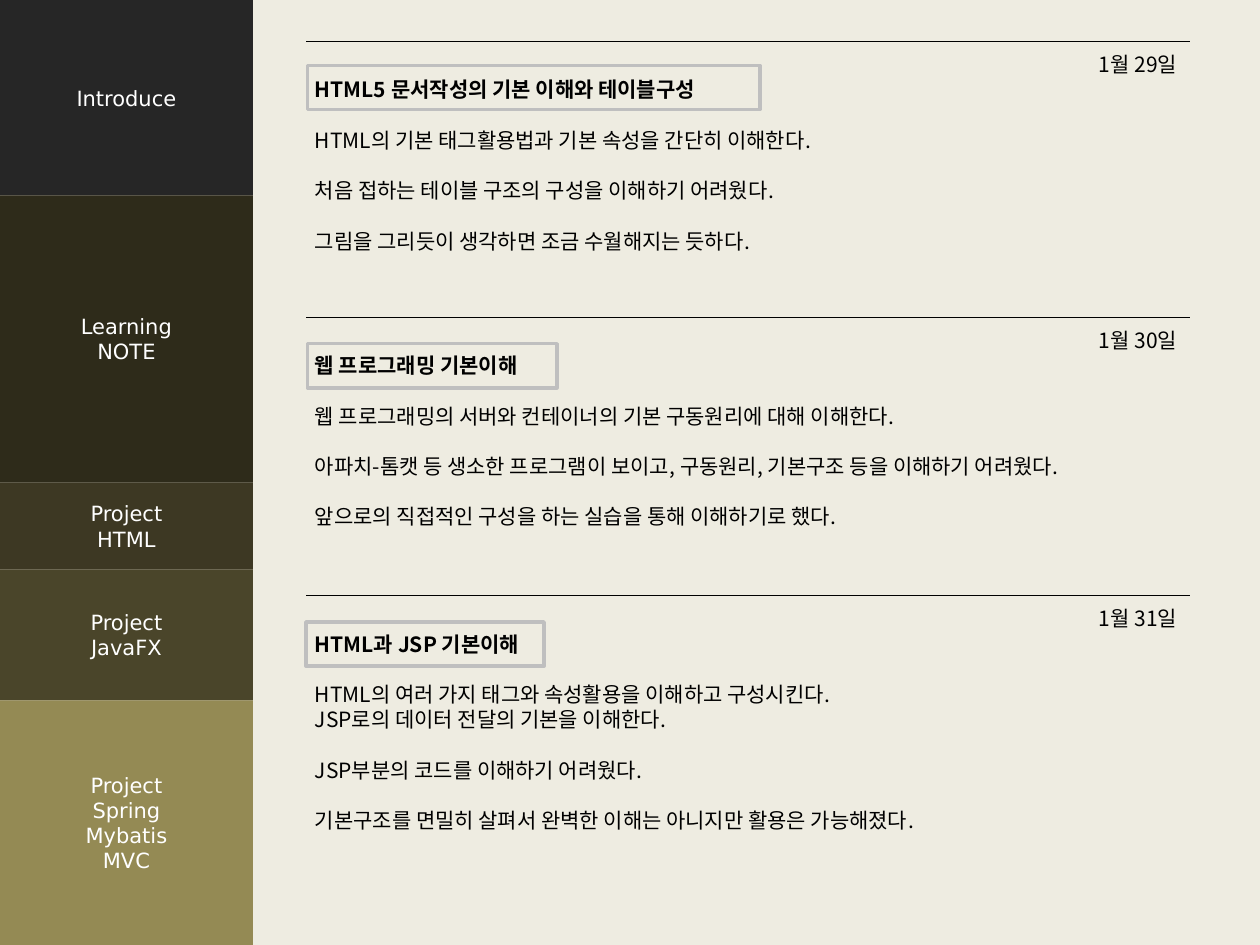
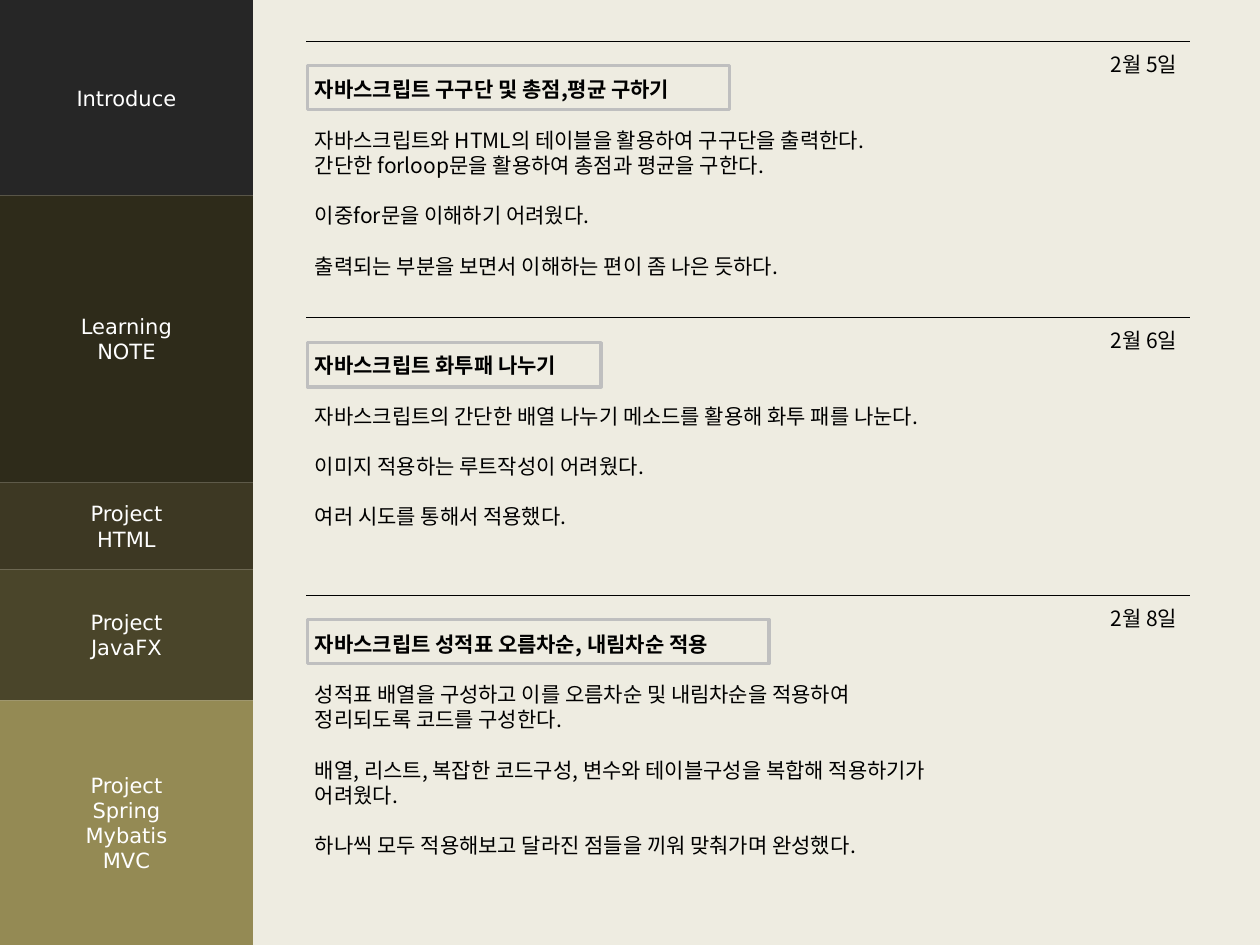
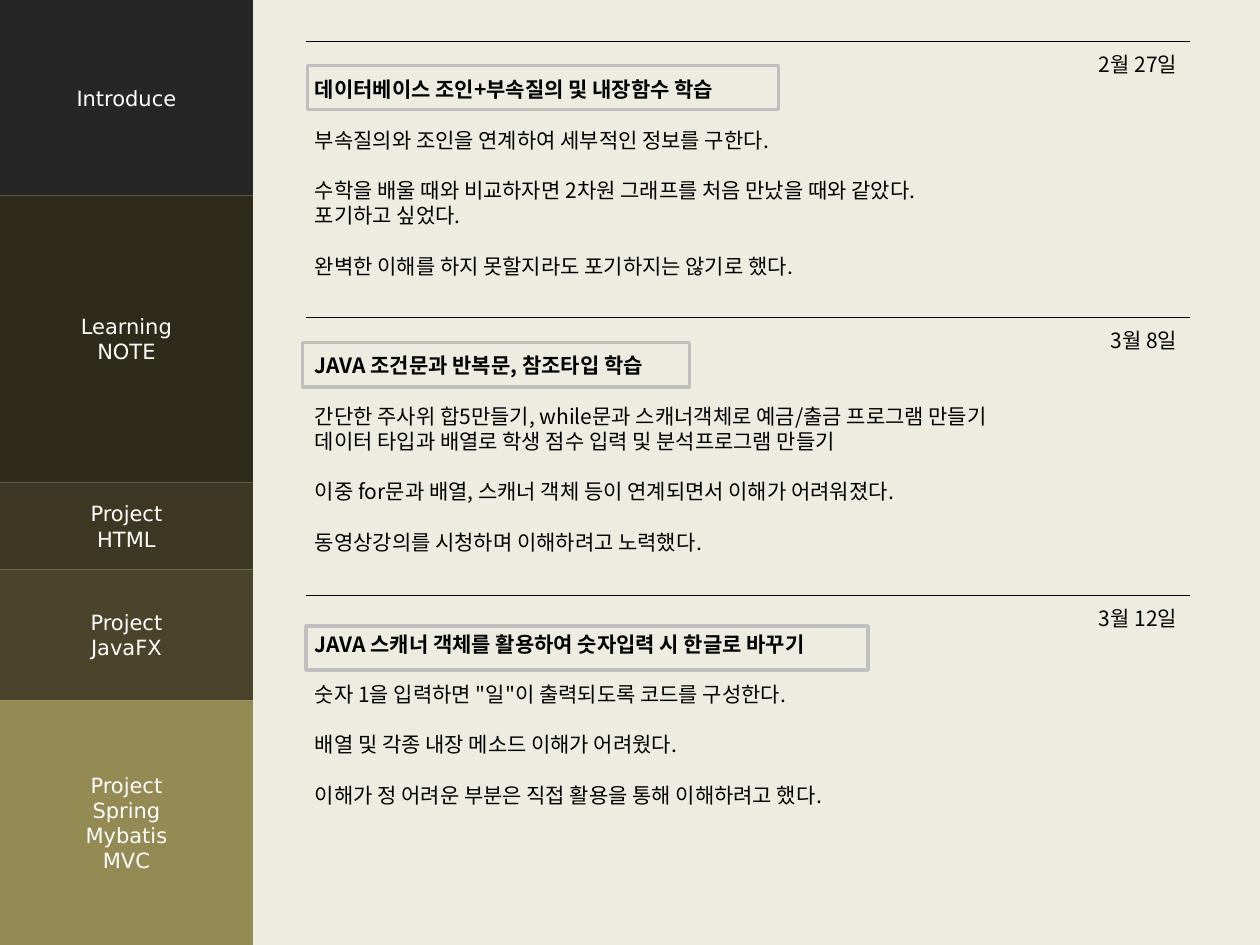
from dataclasses import dataclass
from itertools import pairwise

from lxml.etree import SubElement
from pptx import Presentation
from pptx.dml.color import RGBColor as RGB
from pptx.enum.shapes import MSO_CONNECTOR as CONNECTOR, MSO_SHAPE as SHAPE
from pptx.enum.text import MSO_ANCHOR as ANCHOR, PP_ALIGN as ALIGN
from pptx.oxml.ns import qn
from pptx.util import Cm, Pt

# Shared style
COLORS = {
    "paper": "EEECE1",
    "ink": "000000",
    "frame": "BFBFBF",
    "menu_text": "FFFFFF",
    "introduce": "262626",
    "learning": "2E2B1A",
    "html": "3D3823",
    "javafx": "4A452A",
    "spring": "948A54",
}
NOTE_FONT = "Noto Sans CJK KR"
MENU_FONT = "DejaVu Sans"
TEXT_SIZE = Pt(12)
LINE_PITCH = Pt(14.4)

# Shared geometry in centimetres
WIDTH, HEIGHT = 25.4, 19.05
MENU_WIDTH = 5.1
MENU_EDGES = (0, 3.94, 9.73, 11.48, 14.12, HEIGHT)
RULE_LEFT, RULE_RIGHT = 6.17, 23.98
RULE_TOPS = (0.84, 6.4, 12.01)
NOTE_LEFT, NOTE_GAP = 6.1, 0.08
LINE_HEIGHT, NOTE_PADDING = 0.51, 0.3
FRAME_HEIGHT = 0.89


@dataclass(frozen=True)
class MenuItem:
    label: str
    color: str


@dataclass(frozen=True)
class Entry:
    date: str
    heading: str
    notes: tuple[str, ...]  # one string per block, lines split by \n
    frame_width: float
    frame_drop: float = 0.48  # distance below the rule
    frame_left: float = 6.2


MENU = (
    MenuItem("Introduce", "introduce"),
    MenuItem("Learning\nNOTE", "learning"),
    MenuItem("Project\nHTML", "html"),
    MenuItem("Project\nJavaFX", "javafx"),
    MenuItem("Project\nSpring\nMybatis\nMVC", "spring"),
)

DIARY = (
    (
        Entry("1월 29일", "HTML5 문서작성의 기본 이해와 테이블구성", (
            "HTML의 기본 태그활용법과 기본 속성을 간단히 이해한다.",
            "처음 접하는 테이블 구조의 구성을 이해하기 어려웠다.",
            "그림을 그리듯이 생각하면 조금 수월해지는 듯하다.",
        ), 9.12),
        Entry("1월 30일", "웹 프로그래밍 기본이해", (
            "웹 프로그래밍의 서버와 컨테이너의 기본 구동원리에 대해 이해한다.",
            "아파치-톰캣 등 생소한 프로그램이 보이고, 구동원리, 기본구조 등을 이해하기 어려웠다.",
            "앞으로의 직접적인 구성을 하는 실습을 통해 이해하기로 했다.",
        ), 5.03, 0.53),
        Entry("1월 31일", "HTML과 JSP 기본이해", (
            "HTML의 여러 가지 태그와 속성활용을 이해하고 구성시킨다.\n"
            "JSP로의 데이터 전달의 기본을 이해한다.",
            "JSP부분의 코드를 이해하기 어려웠다.",
            "기본구조를 면밀히 살펴서 완벽한 이해는 아니지만 활용은 가능해졌다.",
        ), 4.8, 0.53, 6.17),
    ),
    (
        Entry("2월 5일", "자바스크립트 구구단 및 총점,평균 구하기", (
            "자바스크립트와 HTML의 테이블을 활용하여 구구단을 출력한다.\n"
            "간단한 forloop문을 활용하여 총점과 평균을 구한다.",
            "이중for문을 이해하기 어려웠다.",
            "출력되는 부분을 보면서 이해하는 편이 좀 나은 듯하다.",
        ), 8.51),
        Entry("2월 6일", "자바스크립트 화투패 나누기", (
            "자바스크립트의 간단한 배열 나누기 메소드를 활용해 화투 패를 나눈다.",
            "이미지 적용하는 루트작성이 어려웠다.",
            "여러 시도를 통해서 적용했다.",
        ), 5.92, 0.51),
        Entry("2월 8일", "자바스크립트 성적표 오름차순, 내림차순 적용", (
            "성적표 배열을 구성하고 이를 오름차순 및 내림차순을 적용하여\n"
            "정리되도록 코드를 구성한다.",
            "배열, 리스트, 복잡한 코드구성, 변수와 테이블구성을 복합해 적용하기가\n"
            "어려웠다.",
            "하나씩 모두 적용해보고 달라진 점들을 끼워 맞춰가며 완성했다.",
        ), 9.3),
    ),
    (
        Entry("2월 27일", "데이터베이스 조인+부속질의 및 내장함수 학습", (
            "부속질의와 조인을 연계하여 세부적인 정보를 구한다.",
            "수학을 배울 때와 비교하자면 2차원 그래프를 처음 만났을 때와 같았다.\n"
            "포기하고 싶었다.",
            "완벽한 이해를 하지 못할지라도 포기하지는 않기로 했다.",
        ), 9.5),
        Entry("3월 8일", "JAVA 조건문과 반복문, 참조타입 학습", (
            "간단한 주사위 합5만들기, while문과 스캐너객체로 예금/출금 프로그램 만들기\n"
            "데이터 타입과 배열로 학생 점수 입력 및 분석프로그램 만들기",
            "이중 for문과 배열, 스캐너 객체 등이 연계되면서 이해가 어려워졌다.",
            "동영상강의를 시청하며 이해하려고 노력했다.",
        ), 7.8, 0.51, 6.1),
        Entry("3월 12일", "JAVA 스캐너 객체를 활용하여 숫자입력 시 한글로 바꾸기", (
            '숫자 1을 입력하면 "일"이 출력되도록 코드를 구성한다.',
            "배열 및 각종 내장 메소드 이해가 어려웠다.",
            "이해가 정 어려운 부분은 직접 활용을 통해 이해하려고 했다.",
        ), 11.33, 0.61, 6.17),
    ),
)


def color(name: str) -> RGB:
    return RGB.from_string(COLORS[name])


def add_rect(s, left: float, top: float, width: float, height: float,
             fill: str | None = None, line: str | None = None):
    """Add a flat rectangle with an optional fill and outline."""
    sp = s.shapes.add_shape(SHAPE.RECTANGLE, Cm(left), Cm(top), Cm(width), Cm(height))
    sp.shadow.inherit = False
    if fill:
        sp.fill.solid()
        sp.fill.fore_color.rgb = color(fill)
    else:
        sp.fill.background()
    if line:
        sp.line.color.rgb = color(line)
        sp.line.width = Pt(2)
    else:
        sp.line.fill.background()
    return sp


def style_paragraph(p, font: str, ink: str, align: ALIGN, bold: bool = False) -> None:
    p.alignment = align
    p.line_spacing = LINE_PITCH
    for r in p.runs:
        r.font.name = font
        r.font.size = TEXT_SIZE
        r.font.bold = bold
        r.font.color.rgb = color(ink)
        SubElement(r.font._element, qn("a:ea"), typeface=font)


def add_menu(s) -> None:
    for item, (top, bottom) in zip(MENU, pairwise(MENU_EDGES)):
        sp = add_rect(s, 0, top, MENU_WIDTH, bottom - top, item.color)
        tf = sp.text_frame
        tf.text = item.label
        tf.vertical_anchor = ANCHOR.MIDDLE
        for p in tf.paragraphs:
            style_paragraph(p, MENU_FONT, "menu_text", ALIGN.CENTER)


def add_rule(s, top: float) -> None:
    rule = s.shapes.add_connector(
        CONNECTOR.STRAIGHT, Cm(RULE_RIGHT), Cm(top), Cm(RULE_LEFT), Cm(top))
    rule.line.color.rgb = color("ink")
    rule.line.width = Pt(0.75)
    SubElement(rule._element.spPr, qn("a:effectLst"))


def add_entry(s, entry: Entry, top: float) -> None:
    add_rule(s, top)

    # Date, heading and notes; every block of notes follows one empty line
    lines = [entry.date, entry.heading]
    block_starts = []
    for block in entry.notes:
        block_starts.append(len(lines))
        lines += block.split("\n")
    height = NOTE_PADDING + LINE_HEIGHT * (len(lines) + len(block_starts))
    sp = add_rect(s, NOTE_LEFT, top + NOTE_GAP, RULE_RIGHT - NOTE_LEFT, height, "paper")
    tf = sp.text_frame
    tf.word_wrap = True
    tf.vertical_anchor = ANCHOR.TOP
    tf.text = "\n".join(lines)
    for i, p in enumerate(tf.paragraphs):
        align = ALIGN.RIGHT if i == 0 else ALIGN.LEFT
        style_paragraph(p, NOTE_FONT, "ink", align, bold=i == 1)
        if i in block_starts:
            p.space_before = LINE_PITCH

    # Frame around the heading
    add_rect(s, entry.frame_left, top + entry.frame_drop,
             entry.frame_width, FRAME_HEIGHT, line="frame")


def main() -> None:
    prs = Presentation()
    prs.slide_width, prs.slide_height = Cm(WIDTH), Cm(HEIGHT)
    background = prs.slide_master.background.fill
    background.solid()
    background.fore_color.rgb = color("paper")
    blank = prs.slide_layouts[6]
    for entries in DIARY:
        s = prs.slides.add_slide(blank)
        for entry, top in zip(entries, RULE_TOPS):
            add_entry(s, entry, top)
        add_menu(s)
    prs.save("out.pptx")


if __name__ == "__main__":
    main()
